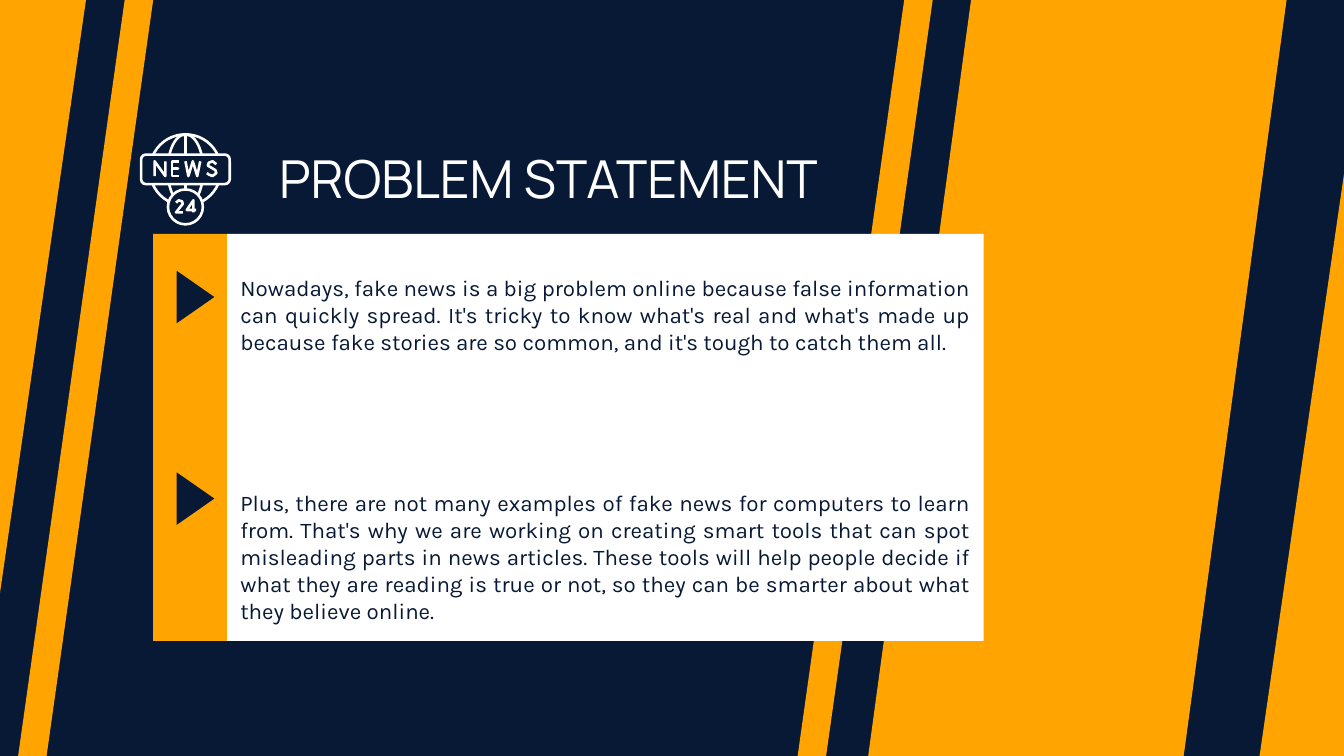
from pptx import Presentation
from pptx.dml.color import RGBColor
from pptx.enum import shapes, text
from pptx.oxml.ns import qn
from pptx.util import Inches, Pt
from lxml import etree

# Content
TITLE = "PROBLEM STATEMENT"
POINTS = [
    "Nowadays, fake news is a big problem online because false information can "
    "quickly spread. It's tricky to know what's real and what's made up because "
    "fake stories are so common, and it's tough to catch them all. ",
    "Plus, there are not many examples of fake news for computers to learn from. "
    "That's why we are working on creating smart tools that can spot misleading "
    "parts in news articles. These tools will help people decide if what they are "
    "reading is true or not, so they can be smarter about what they believe online.",
]

# Theme
THEME = {
    "navy": RGBColor.from_string("081935"),
    "orange": RGBColor.from_string("FFA400"),
    "white": RGBColor.from_string("FFFFFF"),
    "heading": "Manrope", "body": "Karla",
    "title_size": 28, "body_size": 12,
    "icon_line": 1.4, "point_gap": 72,
}
SHAPE = shapes.MSO_SHAPE

# Layout: left, top, width, height
STRIPES = [((0.13, 0, 1.01, 5.66), 0.79),
           ((5.93, 0, 1.01, 5.66), 0.79),
           ((6.45, -0.05, 3.13, 5.75), 0.25)]
CORNERS = [[(0.64, 0), (-0.03, 4.62), (-0.03, 0)],
           [(9.36, 5.71), (10.03, 1.09), (10.03, 5.71)]]
TITLE_BOX = (1.69, 0.98, 4.78, 0.69)
BAND = (1.14, 1.74, 0.55, 3.03)
PANEL = (1.69, 1.74, 5.63, 3.03)
MARKER_LEFT, MARKER_TOP, MARKER_STEP = 1.26, 2.07, 1.5
MARKER_SIZE = (0.39, 0.28)
GLOBE_X, GLOBE_TOP, GLOBE_SIZE = 1.38, 1.0, 0.53
PLATE = (1.05, 1.15, 0.66, 0.22)
BADGE = (1.25, 1.41, 0.26, 0.26)

# Icon lettering: box, then the pen stroke as fractions of that box
LETTERS = [
    ((1.15, 1.2, 0.08, 0.11), [(0, 1), (0, 0), (1, 1), (1, 0)]),
    ((1.28, 1.2, 0.05, 0.11), [(1, 0), (0, 0), (0, 0.5), (0.9, 0.5),
                               (0, 0.5), (0, 1), (1, 1)]),
    ((1.38, 1.2, 0.11, 0.11), [(0, 0), (0.2, 1), (0.5, 0), (0.8, 1), (1, 0)]),
    ((1.54, 1.2, 0.07, 0.11), [(1, 0.2), (0.6, 0), (0.2, 0.1), (0.1, 0.3), (0.9, 0.6),
                               (1, 0.8), (0.6, 1), (0.2, 0.9), (0, 0.8)]),
    ((1.31, 1.49, 0.05, 0.09), [(0, 0.2), (0.4, 0), (0.9, 0.1), (1, 0.3),
                                (0, 1), (1, 1)]),
    ((1.39, 1.49, 0.07, 0.09), [(0.7, 1), (0.7, 0), (0, 0.8), (1, 0.8)]),
]

prs = Presentation()
prs.slide_width = Inches(10)
prs.slide_height = prs.slide_width * 9 // 16
s = prs.slides.add_slide(prs.slide_layouts[5])
s.background.fill.solid()
s.background.fill.fore_color.rgb = THEME["navy"]


def paint(sp, fill=None, line=None):
    sp.shadow.inherit = False
    if fill:
        sp.fill.solid()
        sp.fill.fore_color.rgb = THEME[fill]
    else:
        sp.fill.background()
    if line:
        sp.line.color.rgb = THEME[line]
        sp.line.width = Pt(THEME["icon_line"])
    else:
        sp.line.fill.background()


def add_shape(kind, box, fill=None, line=None):
    sp = s.shapes.add_shape(kind, *map(Inches, box))
    paint(sp, fill, line)
    return sp


def add_outline(points, close, fill=None, line=None):
    start, *others = [tuple(map(Inches, pt)) for pt in points]
    builder = s.shapes.build_freeform(*start, scale=1.0)
    builder.add_line_segments(others, close=close)
    paint(builder.convert_to_shape(), fill, line)


def set_frame(sp, anchor):
    tf = sp.text_frame
    tf.word_wrap = True
    tf.auto_size = text.MSO_AUTO_SIZE.NONE
    tf.vertical_anchor = anchor
    tf.margin_left = tf.margin_right = Inches(0.1)
    tf.margin_top = tf.margin_bottom = Inches(0.1)
    return tf


def add_run(p, words, align, font, size, color):
    p.alignment = align
    r = p.add_run()
    r.text = words
    r.font.name, r.font.size = font, Pt(size)
    r.font.color.rgb = THEME[color]


# Background stripes and corners
for box, slant in STRIPES:
    add_shape(SHAPE.PARALLELOGRAM, box, "orange").adjustments[0] = slant
for corner in CORNERS:
    add_outline(corner, True, fill="orange")

# Title
title = s.shapes.title
title.left, title.top, title.width, title.height = map(Inches, TITLE_BOX)
title.fill.solid()
title.fill.fore_color.rgb = THEME["navy"]
tf = set_frame(title, text.MSO_ANCHOR.MIDDLE)
add_run(tf.paragraphs[0], TITLE, text.PP_ALIGN.CENTER,
        THEME["heading"], THEME["title_size"], "white")

# Side band, text panel and one marker per point
add_shape(SHAPE.RECTANGLE, BAND, "orange")
panel = add_shape(SHAPE.RECTANGLE, PANEL, "white")
tf = set_frame(panel, text.MSO_ANCHOR.TOP)
tf.margin_top = Inches(0.3)
for i, point in enumerate(POINTS):
    p = tf.add_paragraph() if i else tf.paragraphs[0]
    if i:
        p.space_before = Pt(THEME["point_gap"])
    add_run(p, point, text.PP_ALIGN.JUSTIFY,
            THEME["body"], THEME["body_size"], "navy")
    marker = add_shape(SHAPE.ISOSCELES_TRIANGLE,
                       (MARKER_LEFT, MARKER_TOP + i * MARKER_STEP, *MARKER_SIZE), "navy")
    marker.rotation = 90

# News icon: globe with meridians, then the plate, badge and lettering over it
for width in (GLOBE_SIZE, GLOBE_SIZE / 2):
    add_shape(SHAPE.OVAL, (GLOBE_X - width / 2, GLOBE_TOP, width, GLOBE_SIZE), line="white")
meridian = s.shapes.add_connector(
    shapes.MSO_CONNECTOR.STRAIGHT, Inches(GLOBE_X), Inches(GLOBE_TOP),
    Inches(GLOBE_X), Inches(GLOBE_TOP + GLOBE_SIZE))
meridian.line.color.rgb = THEME["white"]
meridian.line.width = Pt(THEME["icon_line"])
etree.SubElement(meridian._element.spPr, qn("a:effectLst"))
add_shape(SHAPE.ROUNDED_RECTANGLE, PLATE, "navy", "white")
add_shape(SHAPE.OVAL, BADGE, "navy", "white")
for (left, top, width, height), stroke in LETTERS:
    add_outline([(left + x * width, top + y * height) for x, y in stroke],
                False, line="white")

prs.save("out.pptx")
